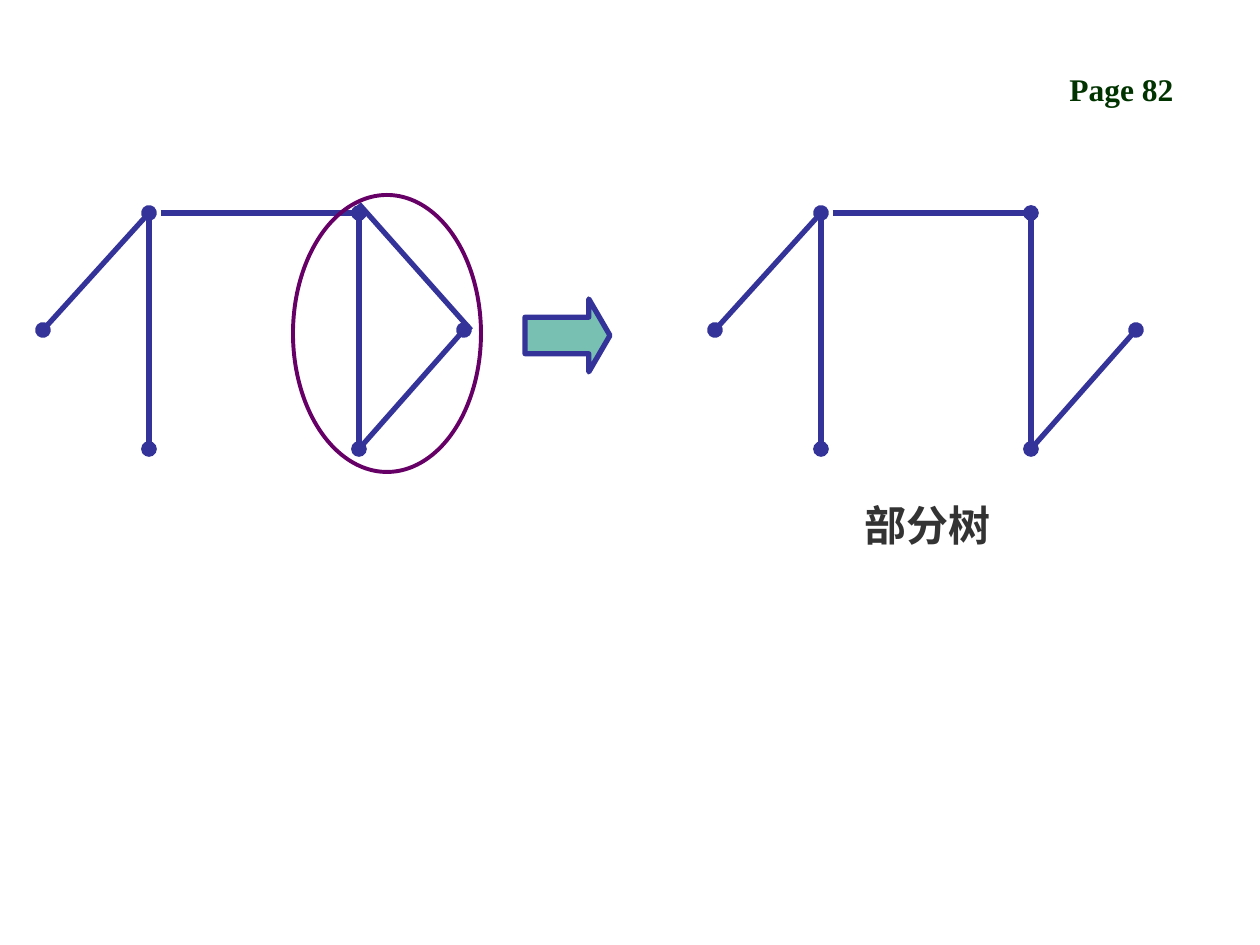
from lxml import etree
from pptx import Presentation
from pptx.dml.color import RGBColor
from pptx.enum.shapes import MSO_CONNECTOR, MSO_SHAPE
from pptx.enum.text import PP_ALIGN
from pptx.oxml.ns import qn
from pptx.util import Pt

PX = 914400 / 126
STRAIGHT = MSO_CONNECTOR.STRAIGHT
LEFT, CENTER = PP_ALIGN.LEFT, PP_ALIGN.CENTER

BLUE = RGBColor(0x33, 0x33, 0x99)
TEAL = RGBColor(0x78, 0xC0, 0xB2)
PURPLE = RGBColor(0x66, 0x00, 0x66)
DARK_GREEN = RGBColor(0x00, 0x33, 0x00)
DARK_GRAY = RGBColor(0x33, 0x33, 0x33)


def px(*lengths):
    """Turn pixel lengths into EMU."""
    return [round(length * PX) for length in lengths]


def add_edge(start, end, *dot_ends):
    """Draw a graph edge with a node dot at each of the named line ends."""
    edge = slide.shapes.add_connector(STRAIGHT, *px(*start, *end))
    edge.line.color.rgb = BLUE
    edge.line.width = Pt(3)
    for dot_end in dot_ends:
        etree.SubElement(edge.line._ln, qn(dot_end), type="oval")
    etree.SubElement(edge._element.spPr, qn("a:effectLst"))


presentation = Presentation()
presentation.slide_width, presentation.slide_height = px(1260, 945)
slide = presentation.slides.add_slide(presentation.slide_layouts[6])

# The same tree twice; the left one also has the edge that closes a cycle
for left in (43, 715):
    leaf = (left, 330)
    top_left, bottom_left = (left + 106, 213), (left + 106, 449)
    top_right, bottom_right = (left + 316, 213), (left + 316, 449)
    right = (left + 421, 330)
    add_edge(leaf, top_left, "a:headEnd", "a:tailEnd")
    add_edge(top_left, bottom_left, "a:tailEnd")
    add_edge((left + 118, 213), top_right, "a:tailEnd")
    add_edge(top_right, bottom_right, "a:tailEnd")
    add_edge(bottom_right, right, "a:tailEnd")
add_edge((471, 330), (359, 204))

arrow = slide.shapes.add_shape(MSO_SHAPE.RIGHT_ARROW, *px(525, 299, 85, 73))
arrow.adjustments[0] = 0.5
arrow.adjustments[1] = 0.29
arrow.shadow.inherit = False
arrow.fill.solid()
arrow.fill.fore_color.rgb = TEAL
arrow.line.color.rgb = BLUE
arrow.line.width = Pt(3)

cycle_ring = slide.shapes.add_shape(MSO_SHAPE.OVAL, *px(293, 195, 188, 277))
cycle_ring.shadow.inherit = False
cycle_ring.fill.background()
cycle_ring.line.color.rgb = PURPLE
cycle_ring.line.width = Pt(2.25)

labels = [
    ("Page 82", (1057, 64, 179, 51), 18, DARK_GREEN, LEFT, 1.0),
    ("部分树", (809, 483, 238, 73), 24, DARK_GRAY, CENTER, 1.2),
]
for text, box, size, color, alignment, spacing in labels:
    label = slide.shapes.add_textbox(*px(*box))
    label.text_frame.word_wrap = True
    label.text_frame.text = text
    paragraph = label.text_frame.paragraphs[0]
    paragraph.alignment = alignment
    paragraph.line_spacing = spacing
    font = paragraph.runs[0].font
    font.name = "Times New Roman"
    font.size = Pt(size)
    font.bold = True
    font.color.rgb = color

presentation.save("out.pptx")
